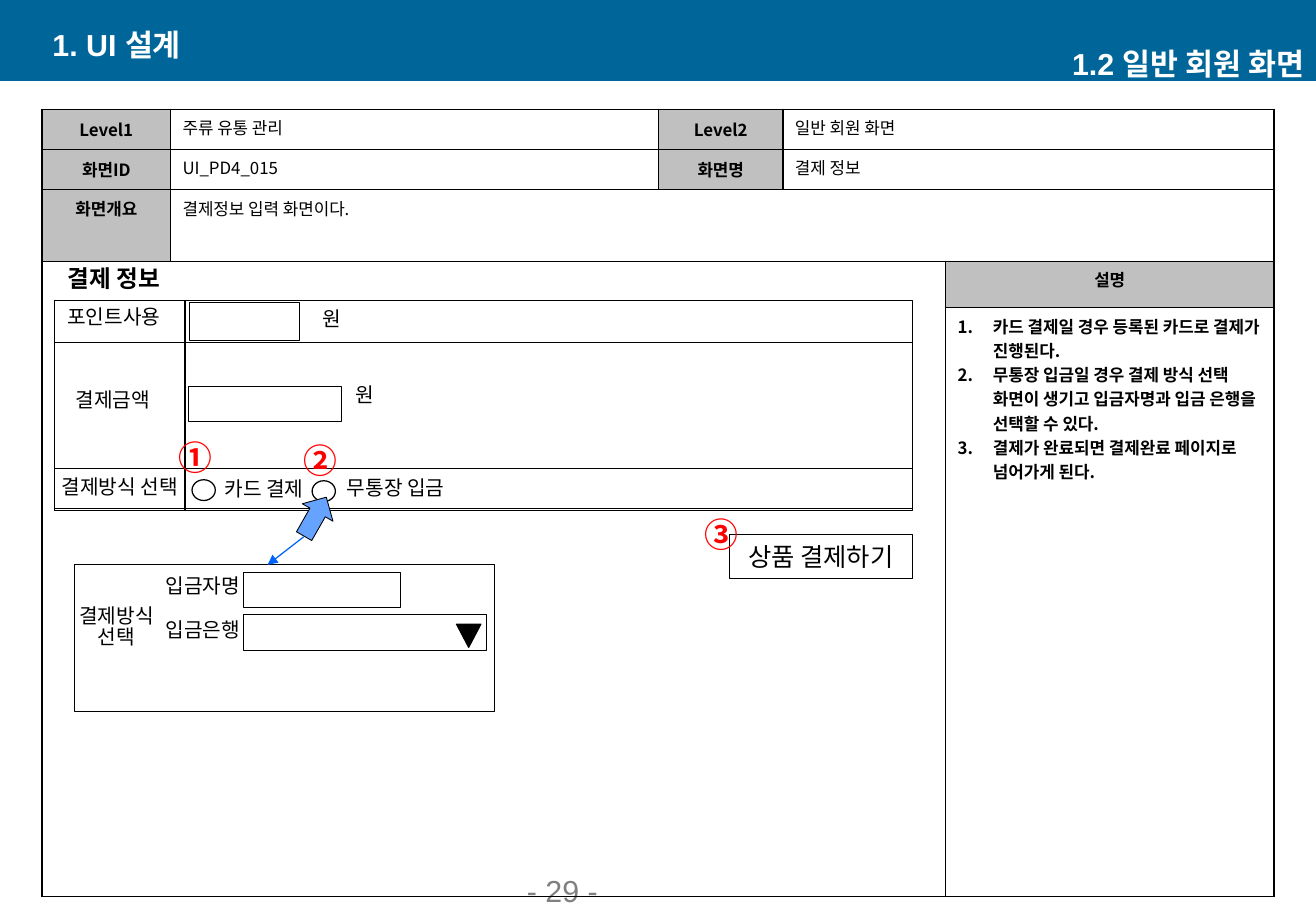
from lxml.etree import SubElement
from pptx import Presentation
from pptx.dml.color import RGBColor
from pptx.enum.shapes import MSO_CONNECTOR, MSO_SHAPE
from pptx.enum.text import MSO_ANCHOR, PP_ALIGN
from pptx.oxml.ns import qn
from pptx.util import Pt

SANS = "Noto Sans CJK KR"
LEFT, MID, RIGHT = PP_ALIGN.LEFT, PP_ALIGN.CENTER, PP_ALIGN.RIGHT
TOP, HALF, BASE = MSO_ANCHOR.TOP, MSO_ANCHOR.MIDDLE, MSO_ANCHOR.BOTTOM

deck = Presentation()
deck.slide_width, deck.slide_height = Pt(780), Pt(540)
slide = deck.slides.add_slide(deck.slide_layouts[6])
shapes = slide.shapes


def write(para, text, size, hue="000000", align=MID, name=SANS, bold=False):
    """Put one run in a paragraph, with a font for its Korean letters too."""
    para.alignment = align
    run = para.add_run()
    run.text = text
    run.font.color.rgb = RGBColor.from_string(hue)
    for key, val in {"size": Pt(size), "bold": bold, "name": name}.items():
        setattr(run.font, key, val)
    SubElement(run.font._element, qn("a:ea"), typeface=SANS)


def draw(kind, place, fill=None, line=None, width=0.25):
    shape = shapes.add_shape(kind, *map(Pt, place))
    shape.shadow.inherit = False
    if fill:
        shape.fill.solid()
        shape.fill.fore_color.rgb = RGBColor.from_string(fill)
    else:
        shape.fill.background()
    if line:
        shape.line.color.rgb = RGBColor.from_string(line)
        shape.line.width = Pt(width)
    else:
        shape.line.fill.background()
    return shape


# Header bar, titles and page number
draw(MSO_SHAPE.RECTANGLE, (0, 0, 780, 48), fill="006699")
white = {"size": 18, "hue": "FFFFFF", "name": "Arial", "bold": True}
grey = {"size": 18, "hue": "808080", "name": "Arial"}
heads = [
    ("1. UI 설계", (24, 14, 315, 24), HALF, {**white, "align": LEFT}),
    ("1.2 일반 회원 화면", (464.6, 25.4, 315.4, 24), HALF, {**white, "align": RIGHT}),
    ("- 29 -", (305.3, 512, 163, 28), BASE, {**grey, "align": LEFT}),
]
for text, place, anchor, style in heads:
    frame = shapes.add_textbox(*map(Pt, place)).text_frame
    frame.word_wrap = True
    frame.vertical_anchor = anchor
    if anchor == BASE:
        frame.margin_bottom = Pt(1.4)
    write(frame.paragraphs[0], text, **style)

# Frame table of the screen sheet
cols = [76, 289.4, 73.6, 96.4, 194.8]
rows = [23.8, 23.8, 42.6, 27.4, 349]
table = shapes.add_table(5, 5, Pt(25), Pt(64.8), Pt(sum(cols)), Pt(sum(rows))).table
for col, wide in zip(table.columns, cols):
    col.width = Pt(wide)
for row, high in zip(table.rows, rows):
    row.height = Pt(high)

for cell in table.iter_cells():
    cell.fill.background()
    props = cell._tc.get_or_add_tcPr()
    for spot, side in enumerate(("lnL", "lnR", "lnT", "lnB")):
        edge = props.makeelement(qn("a:" + side), {"w": str(Pt(1))})
        paint = SubElement(edge, qn("a:solidFill"))
        SubElement(paint, qn("a:srgbClr"), val="000000")
        props.insert(spot, edge)
for first, last in [((0, 3), (0, 4)), ((1, 3), (1, 4)), ((2, 1), (2, 4)), ((3, 0), (4, 3))]:
    table.cell(*first).merge(table.cell(*last))

labels = {
    (0, 0): "Level1", (0, 2): "Level2", (1, 0): "화면ID", (1, 2): "화면명",
    (2, 0): "화면개요", (3, 4): "설명",
}
values = {
    (0, 1): "주류 유통 관리", (0, 3): "일반 회원 화면", (1, 1): "UI_PD4_015",
    (1, 3): "결제 정보", (2, 1): "결제정보 입력 화면이다.",
}
for spot, text in labels.items():
    cell = table.cell(*spot)
    cell.fill.solid()
    cell.fill.fore_color.rgb = RGBColor.from_string("C0C0C0")
    cell.vertical_anchor = HALF if spot[0] < 2 else TOP
    write(cell.text_frame.paragraphs[0], text, 10, bold=True)
for spot, text in values.items():
    write(table.cell(*spot).text_frame.paragraphs[0], text, 10, align=LEFT)

notes = [
    "카드 결제일 경우 등록된 카드로 결제가 진행된다.",
    "무통장 입금일 경우 결제 방식 선택 화면이 생기고 입금자명과 입금 은행을 선택할 수 있다.",
    "결제가 완료되면 결제완료 페이지로 넘어가게 된다.",
]
frame = table.cell(4, 4).text_frame
for num, text in enumerate(notes):
    para = frame.add_paragraph() if num else frame.paragraphs[0]
    props = para._p.get_or_add_pPr()
    props.set("marL", str(Pt(21)))
    props.set("indent", str(-Pt(21)))
    SubElement(props, qn("a:buFont"), typeface=SANS)
    SubElement(props, qn("a:buAutoNum"), type="arabicPeriod")
    write(para, text, 10, align=LEFT, bold=True)

# Payment form, its input fields and the transfer panel
fields = [
    (32, 178, 508.5, 124.5), (112.3, 179.3, 65, 22.3), (111.6, 229, 90.7, 20.9),
    (144, 339, 93, 20.9), (144, 364.3, 144, 20.9),
]
for place in fields:
    draw(MSO_SHAPE.RECTANGLE, place, line="000000")
draw(MSO_SHAPE.RECTANGLE, (44, 334.8, 249.3, 87), line="000000", width=0.75)
for left, top in [(113.8, 284.4), (185, 285)]:
    draw(MSO_SHAPE.OVAL, (left, top, 13.8, 12.3), line="000000", width=0.75)

rules = [((32, y), (540.5, y), "000000") for y in (203, 277.7, 301.5)]
rules.append(((109.6, 178.5), (109.6, 302.4), "000000"))
rules.append(((180, 318.2), (158.6, 334.8), "0064F9"))
for start, end, hue in rules:
    link = shapes.add_connector(MSO_CONNECTOR.STRAIGHT, *map(Pt, start + end))
    link.line.color.rgb = RGBColor.from_string(hue)
    link.line.width = Pt(0.75)
    if hue != "000000":
        SubElement(link.line._get_or_add_ln(), qn("a:tailEnd"), type="triangle")
    SubElement(link._element.spPr, qn("a:effectLst"))

arrow = draw(MSO_SHAPE.UP_ARROW, (176.4, 293, 20.9, 26.6), "66A3FF", "000000", 0.5)
arrow.rotation = 29.7
drop = draw(MSO_SHAPE.ISOSCELES_TRIANGLE, (270.6, 370, 14.4, 13.7), "000000", "000000", 0.75)
drop.rotation = 180

button = draw(MSO_SHAPE.RECTANGLE, (432.5, 316.8, 108, 25.9), line="000000")
button.text_frame.vertical_anchor = HALF
write(button.text_frame.paragraphs[0], "상품 결제하기", 15)

plain = {"size": 12}
mark = {"size": 20, "hue": "FF0000", "bold": True}
texts = [
    ("결제 정보", (25, 155.5, 85, 26.6), {"size": 14, "bold": True}),
    ("포인트사용", (31.5, 179.3, 72, 22), plain),
    ("결제금액", (34.5, 228.2, 65, 22), plain),
    ("결제방식 선택", (27.4, 280, 87, 22), plain),
    ("원", (177, 180, 39.6, 22), plain),
    ("원", (182, 225.4, 68.4, 22), plain),
    ("카드 결제", (122, 280.8, 69, 22), plain),
    ("무통장 입금", (195, 280.5, 79.2, 22), plain),
    ("입금자명", (85.7, 338.4, 69, 22), plain),
    ("입금은행", (85.7, 364.3, 69, 22), plain),
    ("결제방식 선택", (34.6, 356.4, 69, 36), plain),
    ("①", (98.8, 259.2, 32, 32), mark),
    ("②", (173, 260.6, 32, 32), mark),
    ("③", (410.4, 304.6, 32, 32), mark),
]
for text, place, style in texts:
    frame = shapes.add_textbox(*map(Pt, place)).text_frame
    frame.word_wrap = True
    frame.paragraphs[0].line_spacing = 0.85
    write(frame.paragraphs[0], text, **style)

deck.save("out.pptx")
